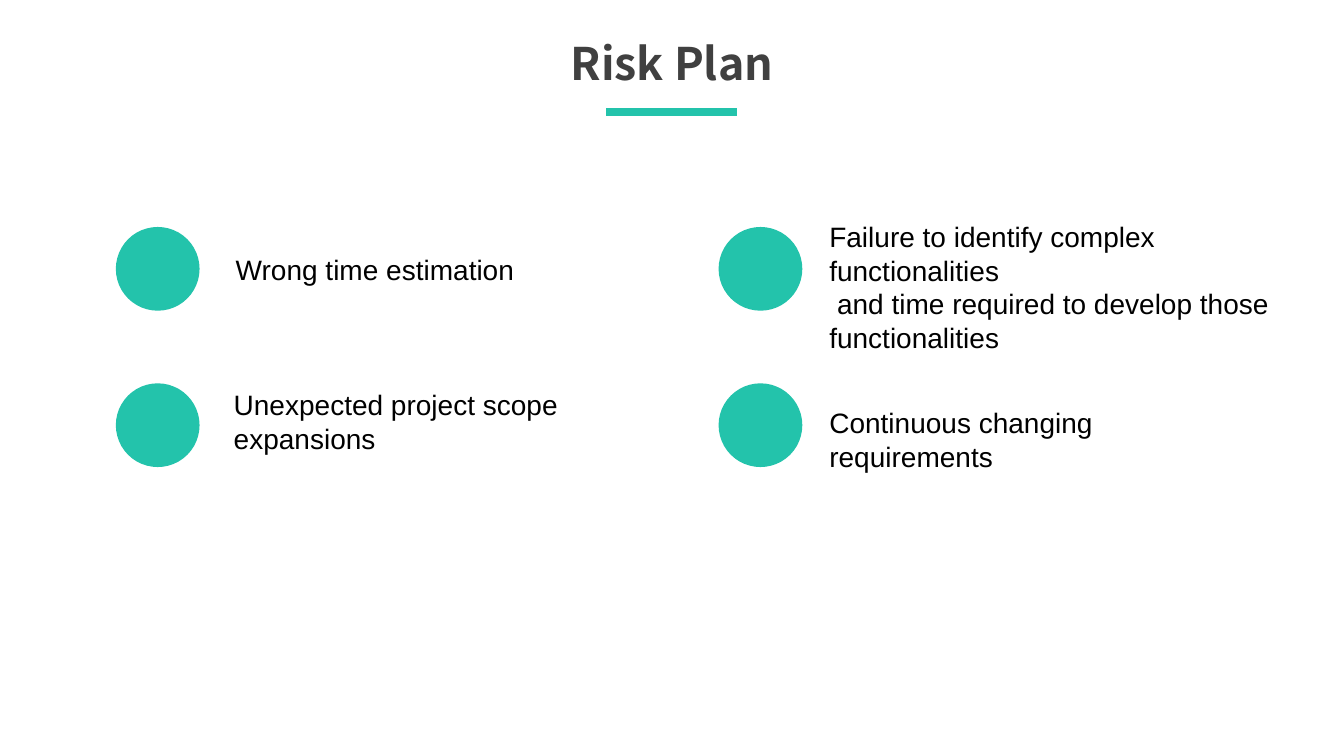
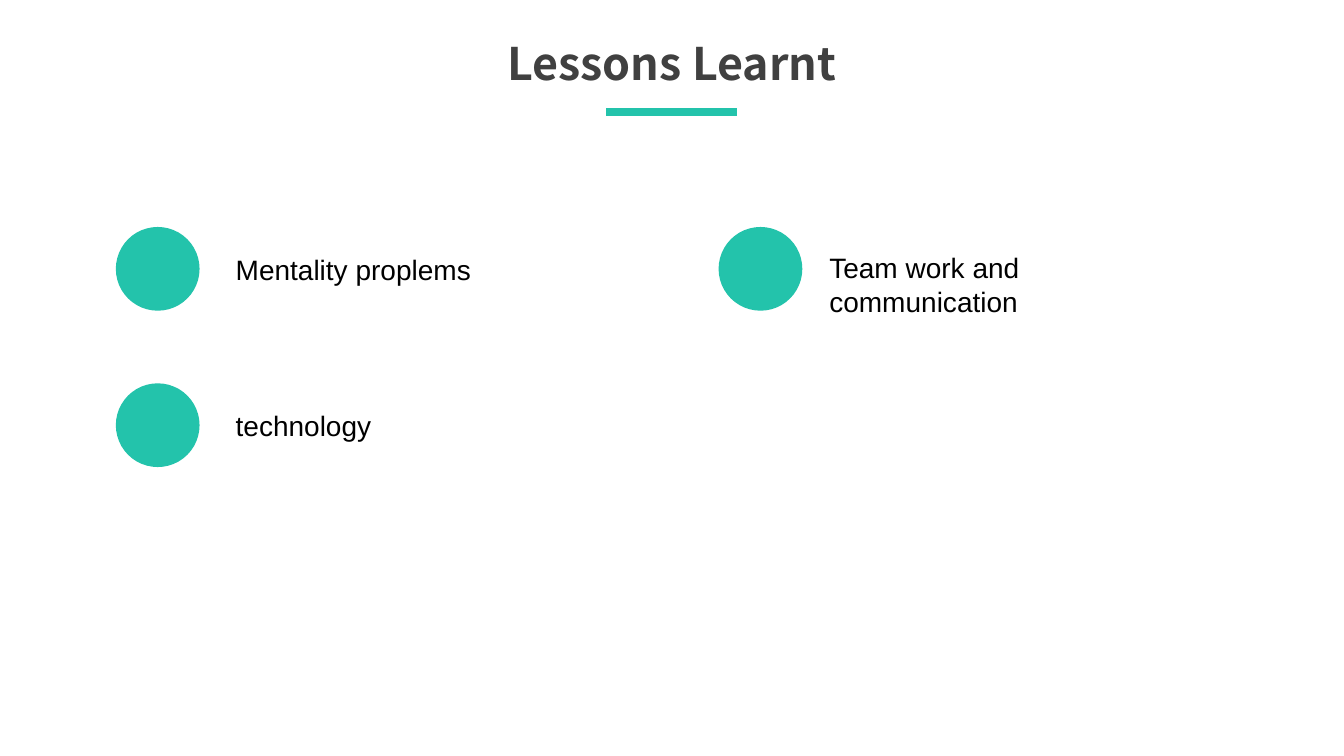
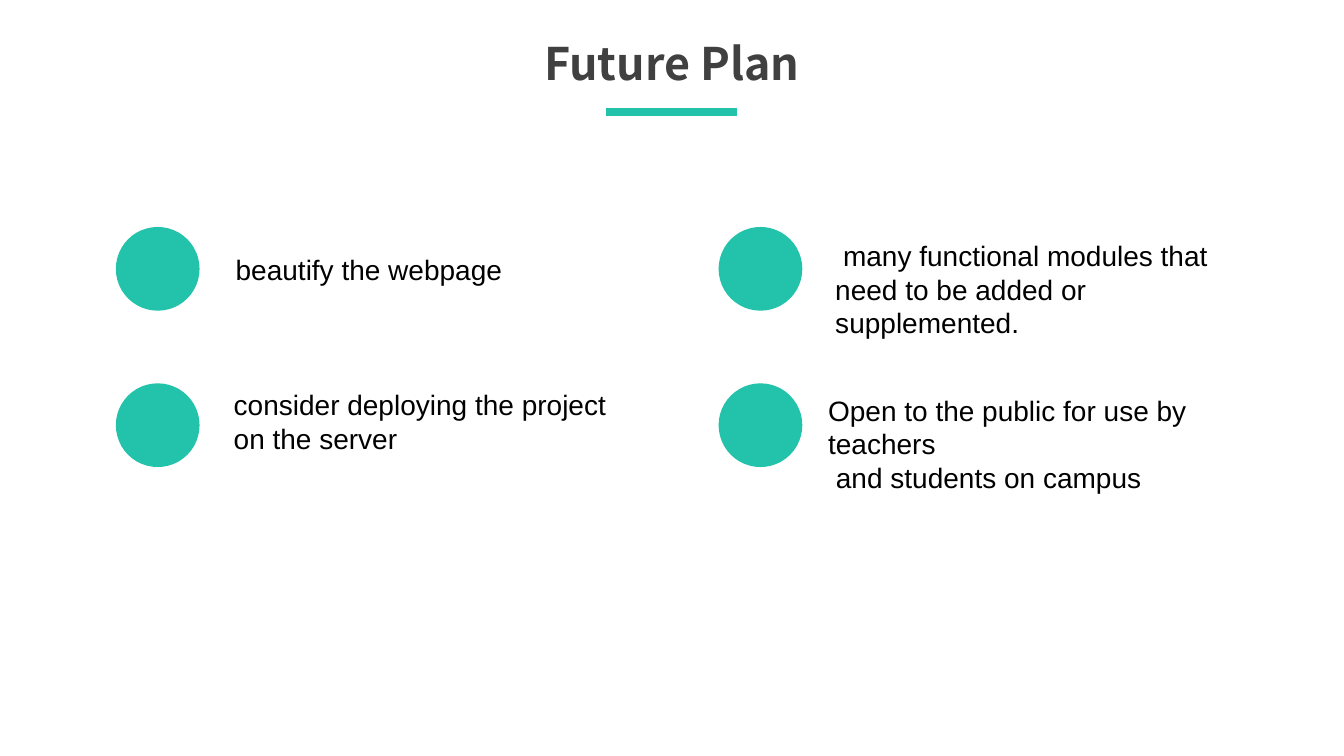
from lxml import etree
from pptx import Presentation
from pptx.dml.color import RGBColor
from pptx.enum.shapes import MSO_CONNECTOR, MSO_SHAPE
from pptx.enum.text import MSO_ANCHOR, MSO_AUTO_SIZE, PP_ALIGN
from pptx.oxml.ns import qn
from pptx.util import Cm, Pt

STRAIGHT = MSO_CONNECTOR.STRAIGHT
OVAL = MSO_SHAPE.OVAL
MIDDLE = MSO_ANCHOR.MIDDLE
TOP = MSO_ANCHOR.TOP
NO_AUTOSIZE = MSO_AUTO_SIZE.NONE
CENTER = PP_ALIGN.CENTER
LEFT = PP_ALIGN.LEFT

TEAL = RGBColor(0x23, 0xC3, 0xAB)
DARK_GRAY = RGBColor(0x40, 0x40, 0x40)
BLACK = RGBColor(0, 0, 0)
TITLE_FONT = "Noto Sans CJK SC"
BODY_FONT = "Arial"

SLIDE_WIDTH = 33.87
SLIDE_HEIGHT = 19.05
TITLE_WIDTH = 20
RULE_WIDTH = 3.3
RULE_TOP = 2.82
CIRCLE_SIZE = 2.11
CIRCLE_LEFT = 2.92
CIRCLE_TOP = 5.72
COLUMN_STEP = 15.19
ROW_STEP = 3.94

# Each item: column, row, text left, text top, text width, lines
SLIDES = [
    ("Risk Plan", [
        (0, 0, 5.69, 6.25, 9.14, ["Wrong time estimation"]),
        (0, 1, 5.64, 9.65, 10.11, ["Unexpected project scope expansions"]),
        (1, 0, 20.65, 5.41, 12.06, [
            "Failure to identify complex functionalities",
            " and time required to develop those",
            "functionalities",
        ]),
        (1, 1, 20.65, 10.1, 10.2, ["Continuous changing requirements"]),
    ]),
    ("Lessons Learnt", [
        (0, 0, 5.69, 6.25, 9.14, ["Mentality proplems"]),
        (0, 1, 5.69, 10.16, 10.11, ["technology"]),
        (1, 0, 20.65, 6.2, 9.2, ["Team work and communication"]),
    ]),
    ("Future Plan", [
        (0, 0, 5.69, 6.25, 9.14, ["beautify the webpage"]),
        (0, 1, 5.64, 9.65, 10.11, ["consider deploying the project on the server"]),
        (1, 0, 20.8, 5.89, 11.46, [
            " many functional modules that",
            "need to be added or supplemented.",
        ]),
        (1, 1, 20.62, 9.78, 11.2, [
            "Open to the public for use by teachers",
            " and students on campus",
        ]),
    ]),
]


def add_text(paragraph, text, font_name, size, color, bold, alignment):
    paragraph.alignment = alignment
    run = paragraph.add_run()
    run.text = text
    run.font.name = font_name
    run.font.size = Pt(size)
    run.font.color.rgb = color
    run.font.bold = bold


presentation = Presentation()
presentation.slide_width = Cm(SLIDE_WIDTH)
presentation.slide_height = Cm(SLIDE_HEIGHT)
title_only = presentation.slide_layouts.get_by_name("Title Only")

for title_text, items in SLIDES:
    slide = presentation.slides.add_slide(title_only)

    title = slide.shapes.title
    title.left, title.top = Cm((SLIDE_WIDTH - TITLE_WIDTH) / 2), Cm(0.76)
    title.width, title.height = Cm(TITLE_WIDTH), Cm(1.63)
    title_frame = title.text_frame
    title_frame.auto_size = NO_AUTOSIZE
    title_frame.vertical_anchor = MIDDLE
    title_frame.margin_top = title_frame.margin_bottom = Cm(0)
    add_text(title_frame.paragraphs[0], title_text, TITLE_FONT, 32, DARK_GRAY, True, CENTER)

    rule_left = (SLIDE_WIDTH - RULE_WIDTH) / 2
    rule = slide.shapes.add_connector(
        STRAIGHT, Cm(rule_left), Cm(RULE_TOP), Cm(rule_left + RULE_WIDTH), Cm(RULE_TOP))
    rule.line.color.rgb = TEAL
    rule.line.width = Pt(6)
    etree.SubElement(rule.element.spPr, qn("a:effectLst"))

    for column, row, text_left, text_top, text_width, lines in items:
        circle = slide.shapes.add_shape(
            OVAL, Cm(CIRCLE_LEFT + column * COLUMN_STEP), Cm(CIRCLE_TOP + row * ROW_STEP),
            Cm(CIRCLE_SIZE), Cm(CIRCLE_SIZE))
        circle.shadow.inherit = False
        circle.fill.solid()
        circle.fill.fore_color.rgb = TEAL
        circle.line.fill.background()

        text_height = 0.27 + 0.85 * len(lines)
        text_box = slide.shapes.add_textbox(
            Cm(text_left), Cm(text_top), Cm(text_width), Cm(text_height))
        text_frame = text_box.text_frame
        text_frame.word_wrap = True
        text_frame.vertical_anchor = TOP
        for index, line in enumerate(lines):
            paragraph = text_frame.add_paragraph() if index else text_frame.paragraphs[0]
            add_text(paragraph, line, BODY_FONT, 20, BLACK, False, LEFT)

presentation.save("out.pptx")
